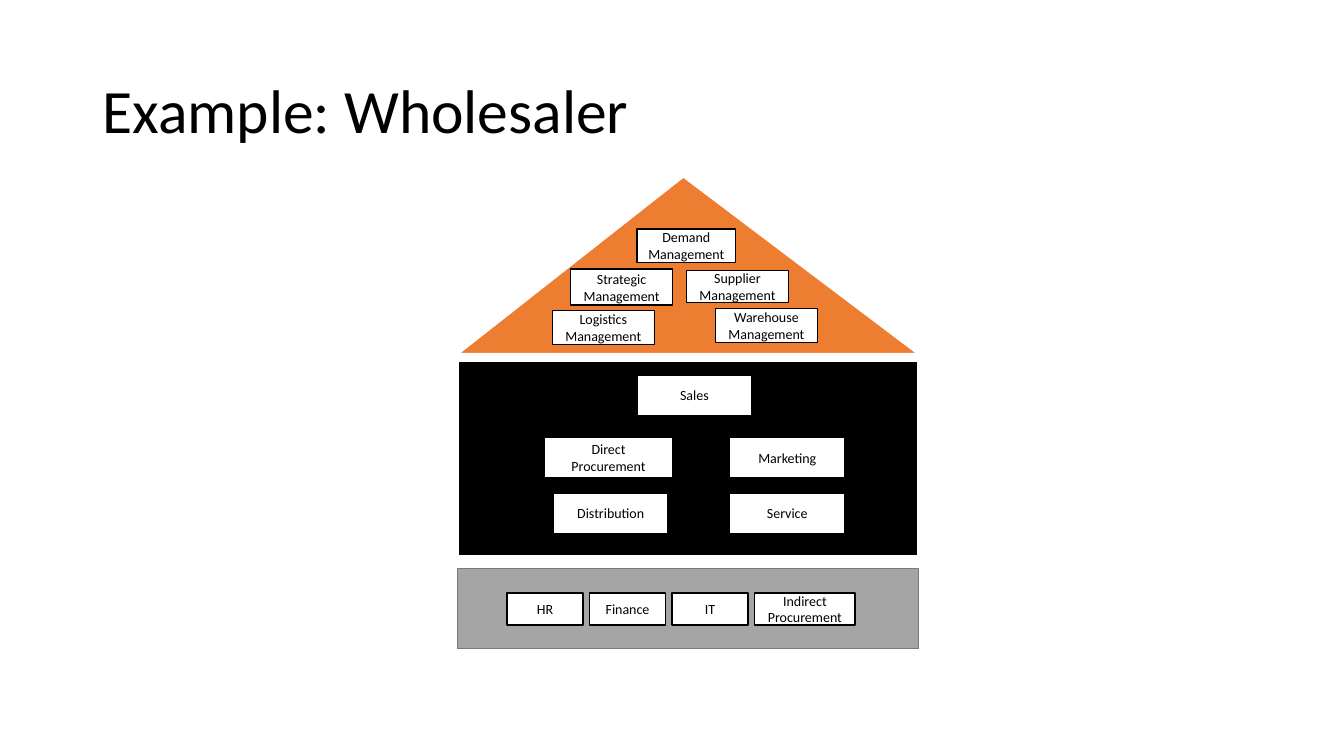
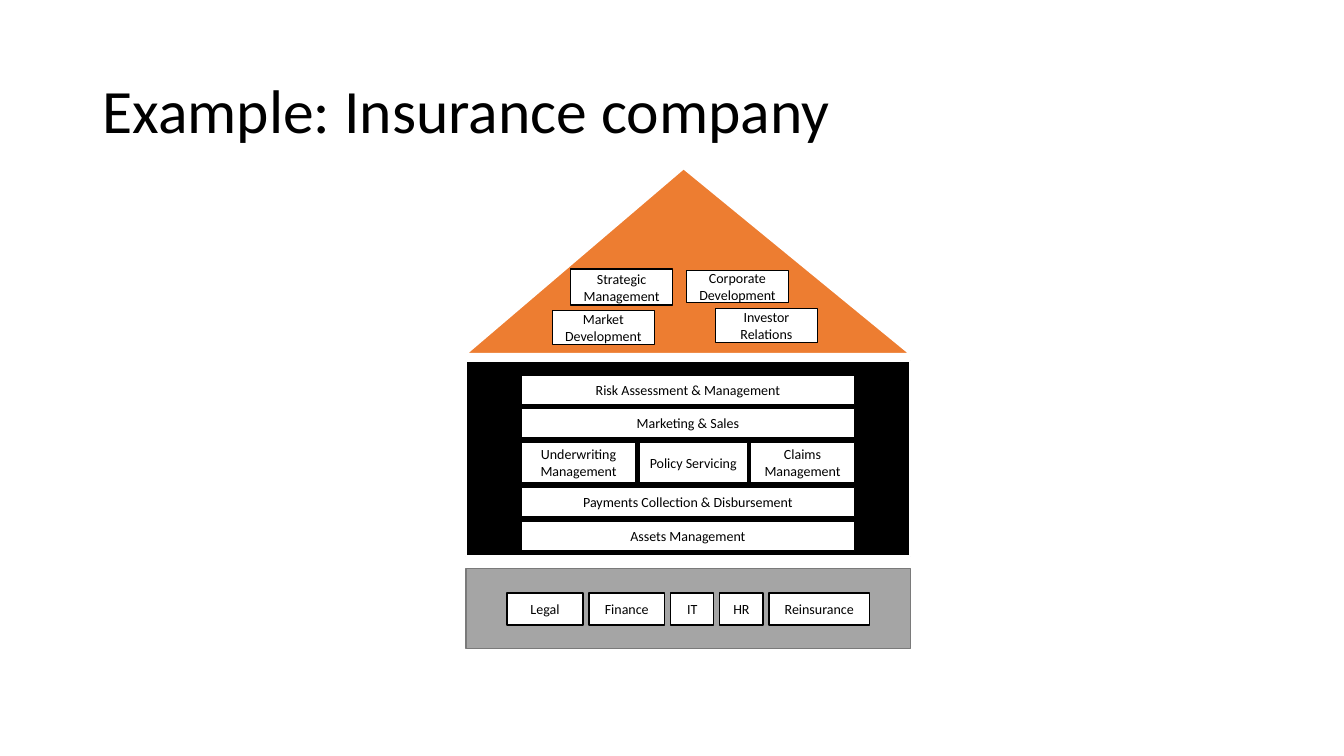
from pptx import Presentation
from pptx.dml.color import RGBColor
from pptx.enum.shapes import MSO_SHAPE
from pptx.enum.text import MSO_ANCHOR, MSO_AUTO_SIZE, PP_ALIGN
from pptx.util import Cm, Pt

FONT = "Calibri"
BLACK, WHITE = "000000", "FFFFFF"
ORANGE, GREY, DARK_GREY = "ED7D31", "A5A5A5", "7A7A7A"

# House geometry in cm
CENTER = 17.34
ROOF_BOTTOM = 8.92
BODY_TOP, BODY_HEIGHT = 9.09, 4.93
BASE_TOP, BASE_HEIGHT = 14.33, 2.01

# Roof box places shared by both houses: left, top, width, height
ROOF_SLOTS = [
    (14.38, 6.78, 2.57, 0.91),
    (13.92, 7.83, 2.57, 0.86),
    (17.3, 6.81, 2.57, 0.81),
    (18.03, 7.77, 2.57, 0.86),
]


def color(value):
    return RGBColor.from_string(value)


class Deck:
    def __init__(self):
        self.prs = Presentation()
        self.prs.slide_width, self.prs.slide_height = Cm(33.87), Cm(19.05)
        self.s = None

    def slide(self, title):
        self.s = self.prs.slides.add_slide(self.prs.slide_layouts[5])
        sp = self.s.shapes.title
        sp.left, sp.top, sp.width, sp.height = Cm(2.33), Cm(1.01), Cm(29.21), Cm(3.68)
        self.text(sp, title, 44, PP_ALIGN.LEFT)
        sp.text_frame.paragraphs[0].line_spacing = 0.9

    def text(self, sp, text, size, align):
        tf = sp.text_frame
        tf.text = text
        tf.word_wrap = True
        tf.auto_size = MSO_AUTO_SIZE.NONE
        tf.vertical_anchor = MSO_ANCHOR.MIDDLE
        p = tf.paragraphs[0]
        p.alignment = align
        font = p.runs[0].font
        font.name, font.size = FONT, Pt(size)
        font.color.rgb = color(BLACK)

    def shape(self, kind, left, top, width, height, fill, line, weight):
        sp = self.s.shapes.add_shape(kind, Cm(left), Cm(top), Cm(width), Cm(height))
        sp.shadow.inherit = False
        sp.fill.solid()
        sp.fill.fore_color.rgb = color(fill)
        sp.line.color.rgb = color(line)
        sp.line.width = Pt(weight)
        return sp

    def house(self, width, roof_top):
        left = CENTER - width / 2
        self.shape(MSO_SHAPE.RECTANGLE, left, BASE_TOP, width, BASE_HEIGHT,
                   GREY, DARK_GREY, 1)
        self.shape(MSO_SHAPE.RECTANGLE, left, BODY_TOP, width, BODY_HEIGHT,
                   BLACK, WHITE, 1.5)
        roof = self.shape(MSO_SHAPE.ISOSCELES_TRIANGLE, left, roof_top, width,
                          ROOF_BOTTOM - roof_top, ORANGE, WHITE, 1.5)
        roof.adjustments[0] = 0.49

    def box(self, text, left, top, width, height):
        sp = self.shape(MSO_SHAPE.RECTANGLE, left, top, width, height, WHITE, BLACK, 1)
        self.text(sp, text, 10, PP_ALIGN.CENTER)

    def row(self, boxes, left, top, height, gap):
        for text, width in boxes:
            self.box(text, left, top, width, height)
            left += width + gap

    def roof_boxes(self, names):
        for name, slot in zip(names, ROOF_SLOTS):
            self.box(name, *slot)

    def base_boxes(self, boxes, gap):
        self.row(boxes, 12.78, 14.94, 0.81, gap)


def wholesaler(deck):
    deck.slide("Example: Wholesaler")
    deck.house(11.61, 4.45)
    # Roof: management
    deck.roof_boxes(["Strategic Management", "Logistics Management",
                     "Supplier Management", "Warehouse Management"])
    deck.box("Demand Management", 16.05, 5.77, 2.49, 0.84)
    # Body: core functions
    for text, left, top, width in [
        ("Sales", 16.05, 9.45, 2.9),
        ("Direct Procurement", 13.72, 11.02, 3.23),
        ("Distribution", 13.94, 12.42, 2.9),
        ("Marketing", 18.39, 11.02, 2.9),
        ("Service", 18.39, 12.42, 2.9),
    ]:
        deck.box(text, left, top, width, 1.02)
    # Base: support functions
    deck.base_boxes([("HR", 1.91), ("Finance", 1.91), ("IT", 1.91),
                     ("Indirect Procurement", 2.53)], 0.17)


def insurance(deck):
    deck.slide("Example: Insurance company")
    deck.house(11.2, 4.24)
    # Roof: management
    deck.roof_boxes(["Strategic Management", "Market Development",
                     "Corporate Development", "Investor Relations"])
    # Body: stacked rows of core functions
    full, thin, tall = 8.41, 0.74, 1.02
    top = 9.45
    for boxes, height in [
        ([("Risk Assessment & Management", full)], thin),
        ([("Marketing & Sales", full)], thin),
        ([("Underwriting Management", 2.9), ("Policy Servicing", 2.74),
          ("Claims Management", 2.63)], tall),
        ([("Payments Collection & Disbursement", full)], thin),
        ([("Assets Management", full)], thin),
    ]:
        deck.row(boxes, 13.13, top, height, 0.07)
        top += height + 0.11
    # Base: support functions
    deck.base_boxes([("Legal", 1.91), ("Finance", 1.91), ("IT", 1.09),
                     ("HR", 1.09), ("Reinsurance", 2.53)], 0.15)


def main():
    deck = Deck()
    wholesaler(deck)
    insurance(deck)
    deck.prs.save("out.pptx")


if __name__ == "__main__":
    main()
